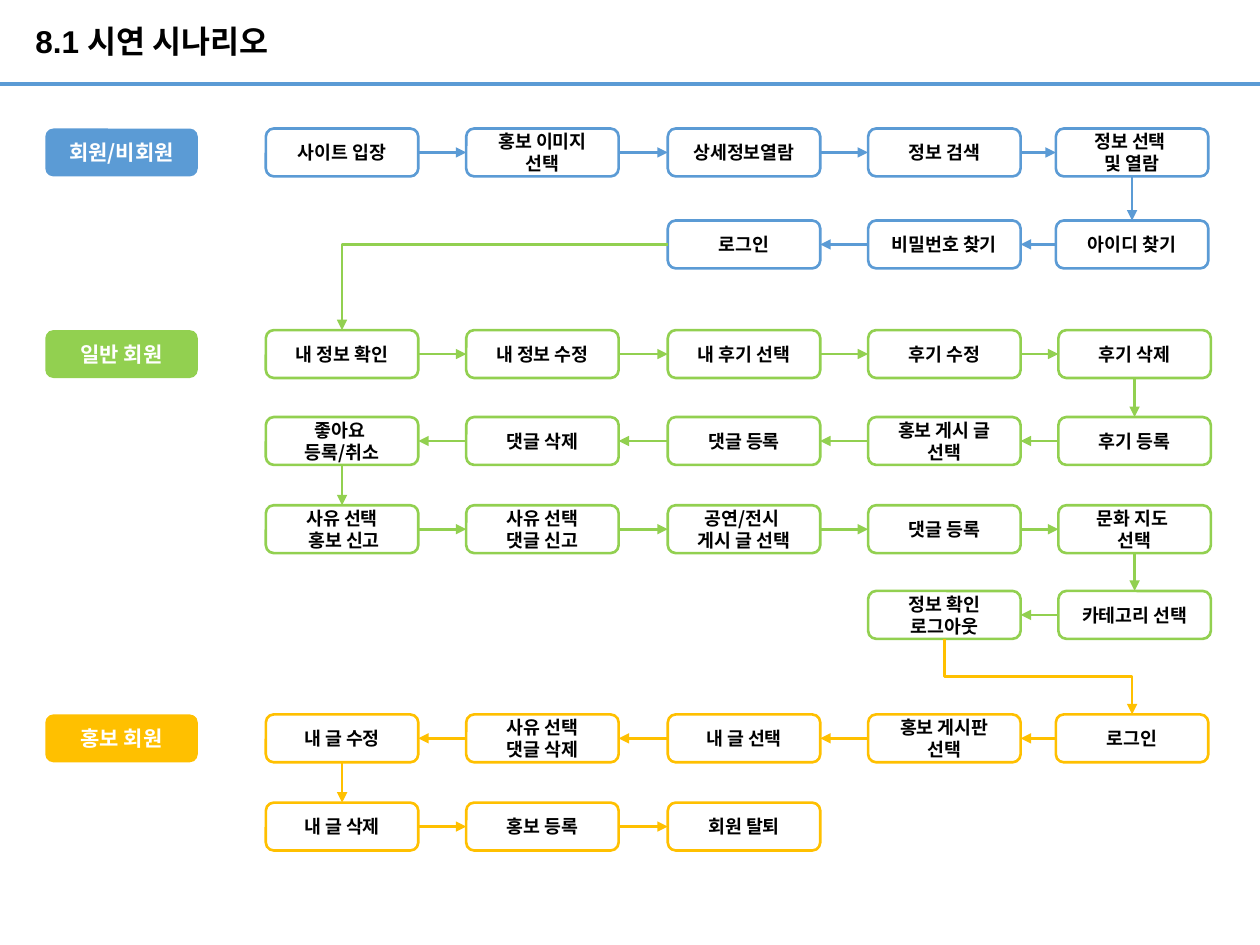
from itertools import pairwise

from pptx import Presentation
from pptx.dml.color import RGBColor
from pptx.enum.shapes import MSO_CONNECTOR, MSO_SHAPE
from pptx.enum.text import MSO_ANCHOR, MSO_AUTO_SIZE, PP_ALIGN
from pptx.oxml.ns import qn
from pptx.oxml.xmlchemy import OxmlElement
from pptx.util import Inches, Pt

COLORS = {
    "visitor": "5B9BD5",
    "member": "92D050",
    "promoter": "FFC000",
    "black": "000000",
    "white": "FFFFFF",
}
KOREAN_FONT = "Noto Sans CJK KR"
BOX_WIDTH, BOX_HEIGHT = 1.21, 0.38
LABEL_LEFT = 0.36
COLUMN_LEFTS = [2.11, 3.7, 5.3, 6.89]
LAST_COLUMN_LEFT = {"visitor": 8.38, "member": 8.4, "promoter": 8.38}
TOP, LEFT, BOTTOM, RIGHT = range(4)  # connection sites of a rounded rectangle

LABELS = [
    ("visitor", 1.02, "회원/비회원"),
    ("member", 2.62, "일반 회원"),
    ("promoter", 5.67, "홍보 회원"),
]

# Group, top, first column, direction, and the steps in the order of the flow
ROWS = [
    ("visitor", 1.02, 0, 1,
     ["사이트 입장", "홍보 이미지 선택", "상세정보열람", "정보 검색", "정보 선택 \n및 열람"]),
    ("visitor", 1.75, 4, -1, ["아이디 찾기", "비밀번호 찾기", "로그인"]),
    ("member", 2.62, 0, 1,
     ["내 정보 확인", "내 정보 수정", "내 후기 선택", "후기 수정", "후기 삭제"]),
    ("member", 3.31, 4, -1,
     ["후기 등록", "홍보 게시 글 선택", "댓글 등록", "댓글 삭제", "좋아요 \n등록/취소"]),
    ("member", 4.01, 0, 1,
     ["사유 선택\n 홍보 신고", "사유 선택\n댓글 신고", "공연/전시 \n게시 글 선택",
      "댓글 등록", "문화 지도 \n선택"]),
    ("member", 4.69, 4, -1, ["카테고리 선택", "정보 확인\n로그아웃"]),
    ("promoter", 5.67, 4, -1,
     ["로그인", "홍보 게시판\n선택", "내 글 선택", "사유 선택\n댓글 삭제", "내 글 수정"]),
    ("promoter", 6.37, 0, 1, ["내 글 삭제", "홍보 등록", "회원 탈퇴"]),
]


def color(name):
    return RGBColor.from_string(COLORS[name])


def format_span(span, font_name, size, color_name):
    for key, value in {"name": font_name, "size": Pt(size), "bold": True}.items():
        setattr(span.font, key, value)
    span.font.color.rgb = color(color_name)
    east_asian = OxmlElement("a:ea")
    east_asian.set("typeface", KOREAN_FONT)
    span.font._element.find(qn("a:latin")).addnext(east_asian)


def add_title(page, text):
    title = page.shapes.title
    place = {"left": 0.28, "top": 0, "width": 6.54, "height": 0.68}
    for key, value in place.items():
        setattr(title, key, Inches(value))
    frame = title.text_frame
    layout = {"margin_left": 0, "margin_top": 0, "margin_right": 0, "margin_bottom": 0,
              "vertical_anchor": MSO_ANCHOR.MIDDLE, "auto_size": MSO_AUTO_SIZE.NONE,
              "word_wrap": True}
    for key, value in layout.items():
        setattr(frame, key, value)
    para = frame.paragraphs[0]
    para.alignment = PP_ALIGN.LEFT
    para.line_spacing = 0.9
    span = para.add_run()
    span.text = text
    format_span(span, "Arial", 18, "black")


def add_box(page, left, top, text, size, text_color):
    box = page.shapes.add_shape(
        MSO_SHAPE.ROUNDED_RECTANGLE,
        Inches(left), Inches(top), Inches(BOX_WIDTH), Inches(BOX_HEIGHT))
    box.shadow.inherit = False
    frame = box.text_frame
    frame.word_wrap = True
    frame.vertical_anchor = MSO_ANCHOR.MIDDLE
    frame.text = text
    for para in frame.paragraphs:
        para.alignment = PP_ALIGN.CENTER
        for span in para.runs:
            format_span(span, KOREAN_FONT, size, text_color)
    return box


def add_label(page, group, top, text):
    label = add_box(page, LABEL_LEFT, top, text, 12, "white")
    label.fill.solid()
    label.fill.fore_color.rgb = color(group)
    label.line.fill.background()


def add_step(page, group, column, top, text):
    left = (COLUMN_LEFTS + [LAST_COLUMN_LEFT[group]])[column]
    step = add_box(page, left, top, text, 10.5, "black")
    step.fill.background()
    step.line.color.rgb = color(group)
    step.line.width = Pt(1.5)
    return step


def add_line(page, kind, color_name, width, start=(0, 0), end=(0, 0)):
    line = page.shapes.add_connector(kind, *map(Inches, start + end))
    line.line.color.rgb = color(color_name)
    line.line.width = Pt(width)
    line._element.spPr.append(OxmlElement("a:effectLst"))
    return line


def add_arrow(page, group, source, source_site, target, target_site,
              kind=MSO_CONNECTOR.STRAIGHT):
    arrow = add_line(page, kind, group, 1.5)
    arrow.begin_connect(source, source_site)
    arrow.end_connect(target, target_site)
    head = OxmlElement("a:tailEnd")
    head.set("type", "triangle")
    arrow.line._get_or_add_ln().append(head)
    return arrow


def add_corner_arrow(page, group, source, target):
    """Leave the source sideways and turn once, down into the target."""
    arrow = add_arrow(page, group, source, LEFT, target, TOP, MSO_CONNECTOR.ELBOW)
    arrow._element.spPr.find(qn("a:prstGeom")).set("prst", "bentConnector2")


def add_step_down_arrow(page, group, source, target):
    """Leave the source downwards, run right, and go down into the target."""
    arrow = add_arrow(page, group, source, BOTTOM, target, TOP, MSO_CONNECTOR.ELBOW)
    left, top, width, height = arrow.left, arrow.top, arrow.width, arrow.height
    # The frame is turned by 270 degrees about its centre, so its sides swap
    arrow.left, arrow.top = left + (width - height) // 2, top + (height - width) // 2
    arrow.width, arrow.height = height, width
    frame = arrow._element.spPr.find(qn("a:xfrm"))
    for key, value in {"rot": "16200000", "flipH": "1"}.items():
        frame.set(key, value)


def add_row(page, group, top, first_column, direction, texts):
    steps = [add_step(page, group, first_column + direction * index, top, text)
             for index, text in enumerate(texts)]
    sites = (RIGHT, LEFT) if direction > 0 else (LEFT, RIGHT)
    for source, target in pairwise(steps):
        add_arrow(page, group, source, sites[0], target, sites[1])
    return steps


def main():
    deck = Presentation()
    deck.slide_width, deck.slide_height = Inches(10), Inches(7.5)
    page = deck.slides.add_slide(deck.slide_layouts[5])
    add_line(page, MSO_CONNECTOR.STRAIGHT, "visitor", 2.25, (0, 0.67), (10, 0.67))
    add_title(page, "8.1 시연 시나리오")
    for label in LABELS:
        add_label(page, *label)

    rows = [(row[0], add_row(page, *row)) for row in ROWS]
    for (group, steps), (next_group, next_steps) in pairwise(rows):
        source, target = steps[-1], next_steps[0]
        if group == next_group:
            add_arrow(page, group, source, BOTTOM, target, TOP)
        elif next_group == "member":
            add_corner_arrow(page, next_group, source, target)
        else:
            add_step_down_arrow(page, next_group, source, target)
    deck.save("out.pptx")


if __name__ == "__main__":
    main()
